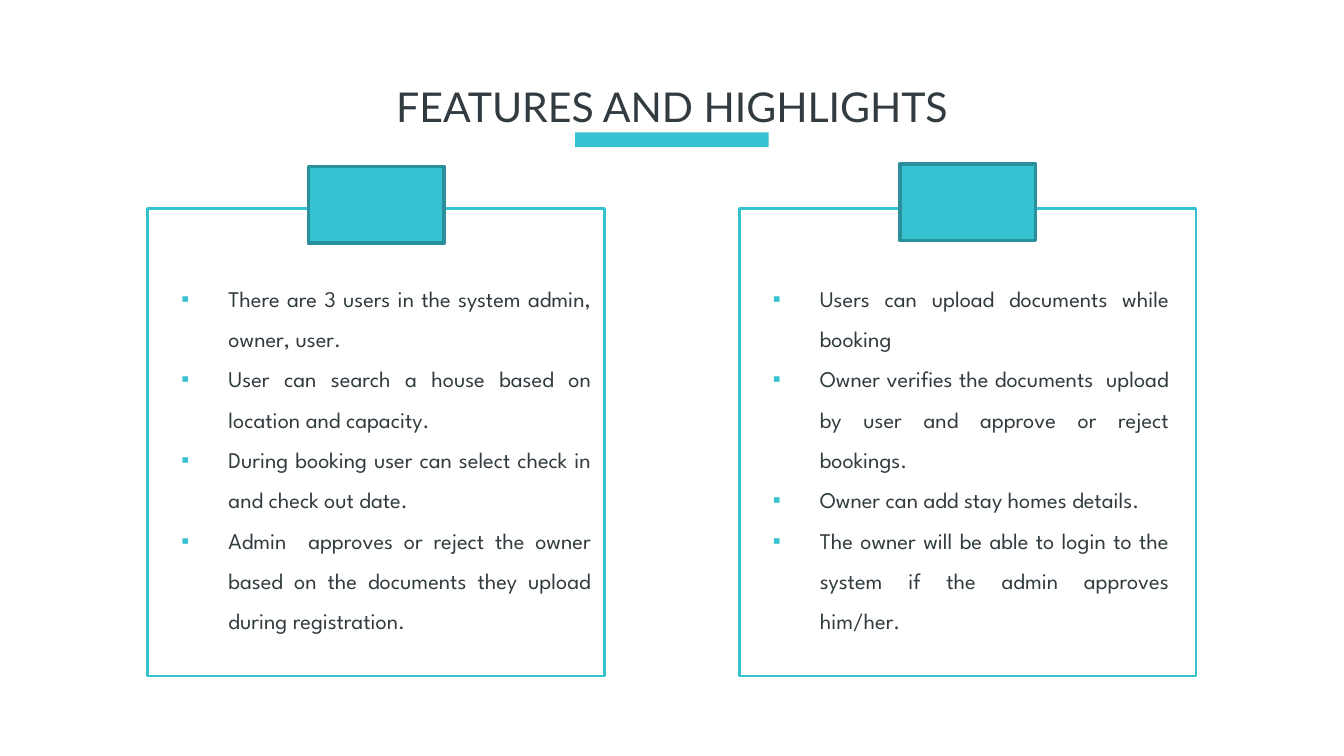
"""Build the features and highlights slide: a title above two tabbed, bulleted panels."""
from dataclasses import dataclass

from lxml.etree import SubElement
from pptx import Presentation
from pptx.dml.color import RGBColor
from pptx.enum.shapes import MSO_SHAPE as Shape
from pptx.enum.text import MSO_ANCHOR as Anchor, MSO_AUTO_SIZE as AutoSize, PP_ALIGN as Align
from pptx.oxml.ns import qn
from pptx.shapes.autoshape import Shape as AutoShape
from pptx.slide import Slide
from pptx.text.text import TextFrame, _Paragraph as Paragraph
from pptx.util import Inches, Pt

COLORS = {"accent": "37C2D1", "edge": "29909B", "ink": "323C40"}
WIDTH, HEIGHT = Inches(10), Inches(5.625)
COLUMN, ROW = WIDTH / 100, HEIGHT / 56.25


@dataclass(frozen=True)
class Area:
    left: float
    top: float
    width: float
    height: float

    def lengths(self) -> tuple[int, int, int, int]:
        return (round(self.left * COLUMN), round(self.top * ROW),
                round(self.width * COLUMN), round(self.height * ROW))


@dataclass(frozen=True)
class Panel:
    left: float
    tab_top: float
    text_width: float
    text_height: float
    items: tuple[str, ...]


PANELS = (
    Panel(11, 12.4, 34, 31.1, (
        "There are 3 users in the system admin, owner, user.",
        "User can search a house based on location and capacity.",
        "During booking user can select check in and check out date.",
        "Admin  approves or reject the owner based on the documents they upload during registration.",
    )),
    Panel(55, 12.2, 33, 27.8, (
        "Users can upload documents while booking ",
        "Owner verifies the documents  upload by user and approve or reject bookings.",
        "Owner can add stay homes details.",
        "The owner will be able to login to the system if the admin approves him/her.",
    )),
)


def color(name: str) -> RGBColor:
    return RGBColor.from_string(COLORS[name])


def add_box(slide: Slide, area: Area, fill: str = "", line: str = "", weight: float = 0) -> None:
    box = slide.shapes.add_shape(Shape.RECTANGLE, *area.lengths())
    box.shadow.inherit = False
    if fill:
        box.fill.solid()
        box.fill.fore_color.rgb = color(fill)
    else:
        box.fill.background()
    if line:
        box.line.color.rgb = color(line)
        box.line.width = Pt(weight)
    else:
        box.line.fill.background()


def place_text(placeholder: AutoShape, area: Area, anchor: Anchor) -> TextFrame:
    placeholder.left, placeholder.top, placeholder.width, placeholder.height = area.lengths()
    frame = placeholder.text_frame
    frame.word_wrap = True
    frame.auto_size = AutoSize.NONE
    frame.vertical_anchor = anchor
    frame.margin_left = frame.margin_right = Inches(0.1)
    frame.margin_top = frame.margin_bottom = Inches(0.1)
    return frame


def style(paragraph: Paragraph, font: str, size: float, align: Align) -> None:
    paragraph.alignment = align
    paragraph.space_before = Pt(0)
    paragraph.font.name = font
    paragraph.font.size = Pt(size)
    paragraph.font.color.rgb = color("ink")


def add_bullet(paragraph: Paragraph) -> None:
    paragraph.line_spacing = 1.5
    properties = paragraph._p.get_or_add_pPr()
    properties.set("marL", str(Inches(0.5)))
    properties.set("indent", str(-Inches(0.35)))
    bullet_color = SubElement(properties, qn("a:buClr"))
    SubElement(bullet_color, qn("a:srgbClr"), val=COLORS["accent"])
    SubElement(properties, qn("a:buChar"), char="▪")


def draw_panel(slide: Slide, panel: Panel, body: AutoShape) -> None:
    add_box(slide, Area(panel.left, 15.5, 34, 34.8), line="accent", weight=1.5)
    add_box(slide, Area(panel.left + 11.95, panel.tab_top, 10.1, 5.7), "accent", "edge", 2)
    area = Area(panel.left, 19.2, panel.text_width, panel.text_height)
    frame = place_text(body, area, Anchor.TOP)
    frame.text = "\n".join(panel.items)
    for paragraph in frame.paragraphs:
        add_bullet(paragraph)
        style(paragraph, "League Spartan", 12, Align.JUSTIFY)


def main() -> None:
    presentation = Presentation()
    presentation.slide_width, presentation.slide_height = WIDTH, HEIGHT
    slide = presentation.slides.add_slide(presentation.slide_layouts[3])
    title, *bodies = slide.placeholders

    add_box(slide, Area(42.8, 9.85, 14.4, 1.1), "accent")
    frame = place_text(title, Area(7.75, 5.9, 84.5, 4), Anchor.MIDDLE)
    frame.text = "FEATURES AND HIGHLIGHTS"
    style(frame.paragraphs[0], "Lato", 22, Align.CENTER)

    for panel, body in zip(PANELS, bodies):
        draw_panel(slide, panel, body)
    presentation.save("out.pptx")


if __name__ == "__main__":
    main()
